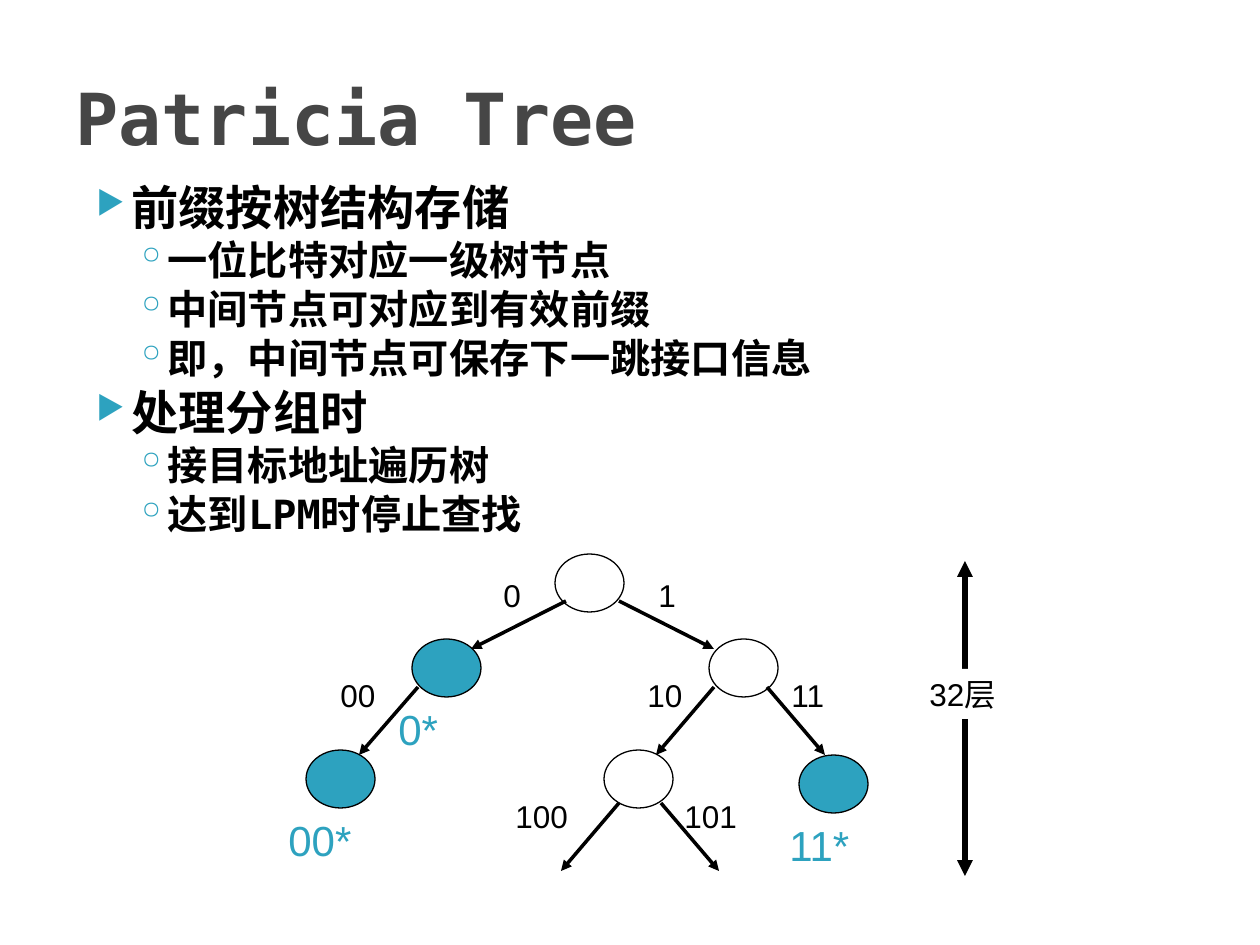
from lxml import etree
from pptx import Presentation
from pptx import util as u
from pptx.dml.color import RGBColor
from pptx.enum import lang, shapes, text
from pptx.oxml.ns import qn

PX = 914400 / 126
BLACK = RGBColor(0x00, 0x00, 0x00)
WHITE = RGBColor(0xFF, 0xFF, 0xFF)
GREY = RGBColor(0x46, 0x46, 0x46)
TEAL = RGBColor(0x2D, 0xA2, 0xBF)
MONO = "DejaVu Sans Mono"
SANS = "Arial"

OUTLINE = [
    (0, "前缀按树结构存储"),
    (1, "一位比特对应一级树节点"),
    (1, "中间节点可对应到有效前缀"),
    (1, "即，中间节点可保存下一跳接口信息"),
    (0, "处理分组时"),
    (1, "接目标地址遍历树"),
    (1, "达到LPM时停止查找"),
]
LEVELS = [
    {"size": 27, "before": 4, "margin": 50, "indent": -35, "bullet": "▶", "percent": 68},
    {"size": 23, "before": 3.2, "margin": 86, "indent": -32, "bullet": "◦", "percent": 100},
]
NODE_WIDTH, NODE_HEIGHT = 69, 58
NODES = [
    (555, 554, None),
    (412, 639, TEAL),
    (709, 639, None),
    (306, 750, TEAL),
    (604, 750, None),
    (799, 755, TEAL),
]
EDGES = [
    (566, 601, 471, 649),
    (619, 601, 714, 649),
    (418, 687, 359, 755),
    (714, 687, 656, 755),
    (767, 687, 825, 755),
    (619, 803, 561, 871),
    (661, 803, 719, 871),
]
EDGE_LABELS = [
    ("0", 491, 570, 47),
    ("1", 646, 570, 47),
    ("00", 328, 670, 67),
    ("10", 635, 670, 67),
    ("11", 779, 670, 67),
    ("100", 503, 791, 100),
    ("101", 672, 791, 100),
]
PREFIXES = [("0*", 386, 697), ("00*", 276, 808), ("11*", 777, 813)]


def px(*lengths):
    return [u.Emu(round(length * PX)) for length in lengths]


def format_runs(paragraph, size, font, color, bold=False):
    for run in paragraph.runs:
        run.font.size = u.Pt(size)
        run.font.name = font
        run.font.bold = bold
        run.font.color.rgb = color
        run.font.language_id = lang.MSO_LANGUAGE_ID.SIMPLIFIED_CHINESE


def add_text(slide, box, words, size, font, color, bold=False,
             anchor=text.MSO_ANCHOR.TOP, fill=None):
    shape = slide.shapes.add_textbox(*px(*box))
    if fill is not None:
        shape.fill.solid()
        shape.fill.fore_color.rgb = fill
    text_frame = shape.text_frame
    text_frame.word_wrap = True
    text_frame.vertical_anchor = anchor
    text_frame.text = words
    for paragraph in text_frame.paragraphs:
        format_runs(paragraph, size, font, color, bold)
    return shape


def add_bullet(paragraph, level):
    properties = paragraph._p.get_or_add_pPr()
    margin, indent = px(level["margin"], level["indent"])
    properties.set("marL", str(margin))
    properties.set("indent", str(indent))
    color = etree.SubElement(properties, qn("a:buClr"))
    etree.SubElement(color, qn("a:srgbClr"), val=str(TEAL))
    etree.SubElement(properties, qn("a:buSzPct"), val=str(level["percent"] * 1000))
    etree.SubElement(properties, qn("a:buChar"), char=level["bullet"])


def add_outline(slide, box, items):
    words = "\n".join(line for _, line in items)
    shape = add_text(slide, box, words, LEVELS[0]["size"], MONO, BLACK, True)
    for paragraph, (depth, _) in zip(shape.text_frame.paragraphs, items):
        level = LEVELS[depth]
        paragraph.level = depth
        paragraph.line_spacing = 0.9
        paragraph.space_before = u.Pt(level["before"])
        format_runs(paragraph, level["size"], MONO, BLACK, True)
        add_bullet(paragraph, level)


def add_node(slide, left, top, fill):
    shape = slide.shapes.add_shape(
        shapes.MSO_SHAPE.OVAL, *px(left, top, NODE_WIDTH, NODE_HEIGHT))
    shape.shadow.inherit = False
    shape.line.color.rgb = BLACK
    shape.line.width = u.Pt(0.75)
    if fill is None:
        shape.fill.background()
    else:
        shape.fill.solid()
        shape.fill.fore_color.rgb = fill


def add_arrow(slide, ends, width, arrowheads=("tailEnd",)):
    connector = slide.shapes.add_connector(shapes.MSO_CONNECTOR.STRAIGHT, *px(*ends))
    connector.line.color.rgb = BLACK
    connector.line.width = u.Pt(width)
    line = connector.line._get_or_add_ln()
    for arrowhead in arrowheads:
        etree.SubElement(line, qn(f"a:{arrowhead}"), type="triangle")
    etree.SubElement(connector._element.spPr, qn("a:effectLst"))


def main():
    presentation = Presentation()
    presentation.slide_width, presentation.slide_height = px(1260, 945)
    slide = presentation.slides.add_slide(presentation.slide_layouts[6])

    add_text(slide, (63, 38, 1134, 157), "Patricia Tree", 41, MONO, GREY, True,
             text.MSO_ANCHOR.MIDDLE)
    add_outline(slide, (69, 178, 1029, 379), OUTLINE)

    for node in NODES:
        add_node(slide, *node)
    for ends in EDGES:
        add_arrow(slide, ends, 2)
    for words, left, top, width in EDGE_LABELS:
        add_text(slide, (left, top, width, 54), words, 18, SANS, BLACK)
    for words, left, top in PREFIXES:
        add_text(slide, (left, top, 126, 63), words, 24, SANS, TEAL)

    add_arrow(slide, (965, 561, 965, 876), 3, ("headEnd", "tailEnd"))
    add_text(slide, (917, 669, 97, 50), "32层", 18, SANS, BLACK, fill=WHITE)

    presentation.save("out.pptx")


if __name__ == "__main__":
    main()
